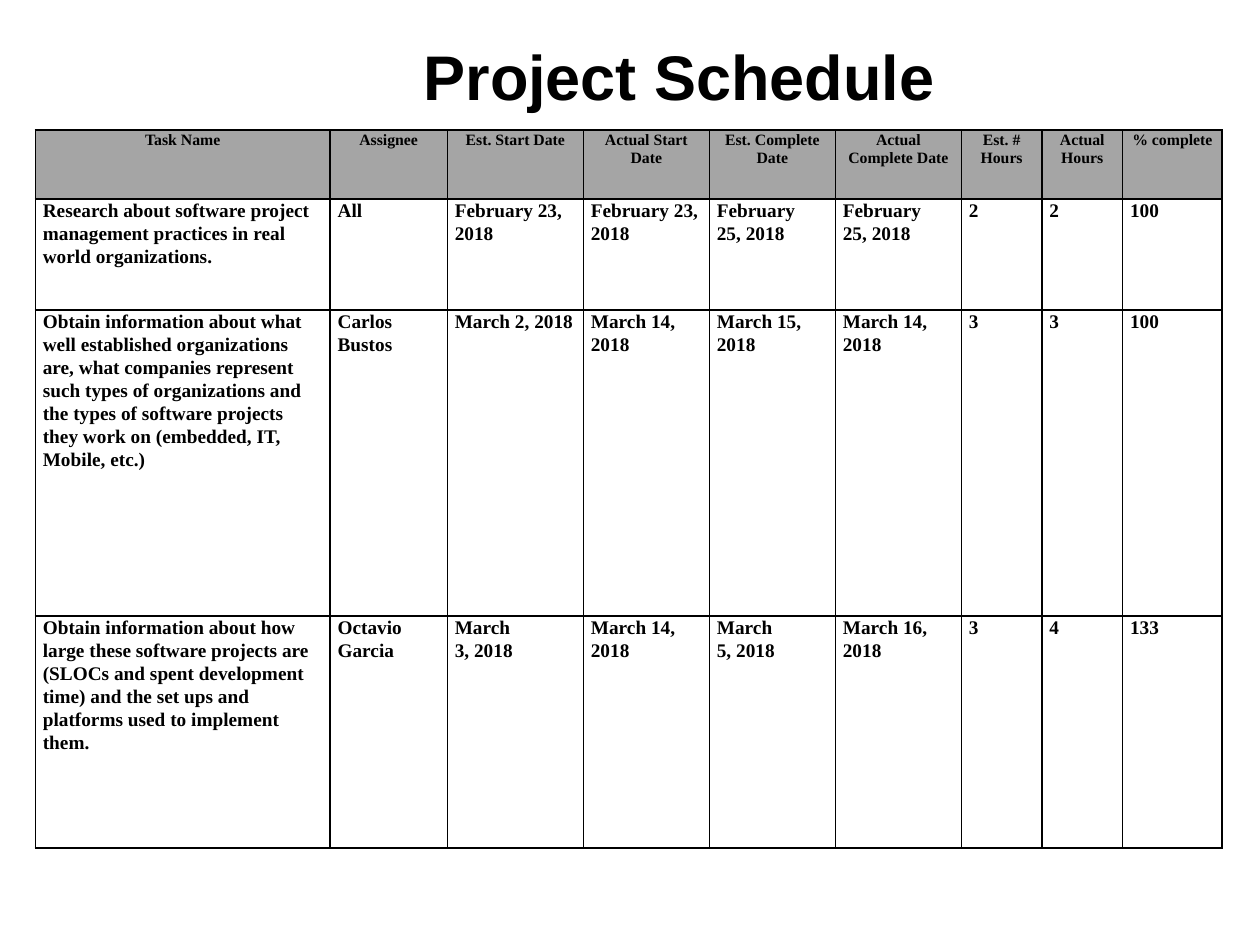
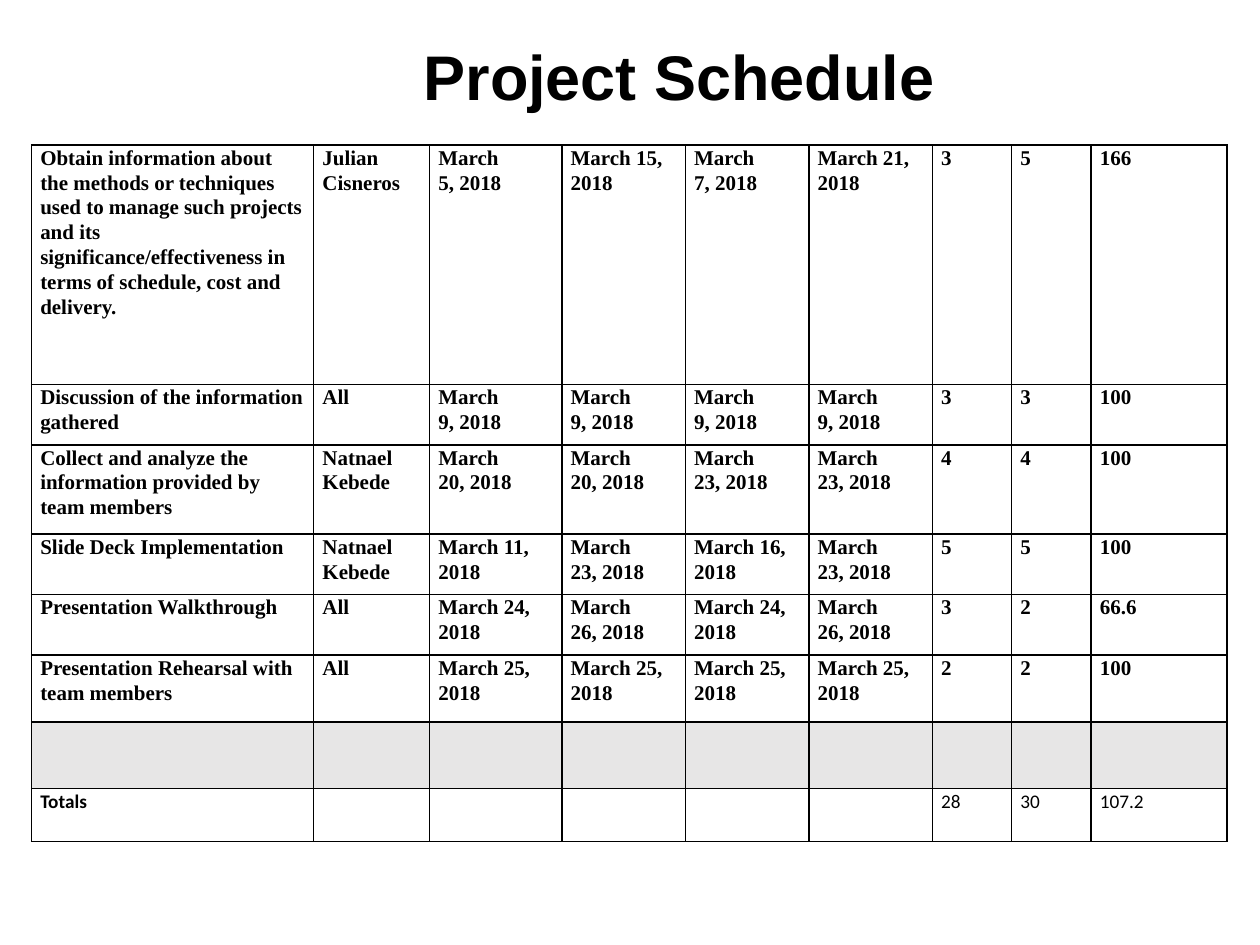
from lxml import etree
from pptx import Presentation
from pptx.dml.color import RGBColor
from pptx.enum.text import MSO_ANCHOR, MSO_AUTO_SIZE, PP_ALIGN
from pptx.oxml.ns import qn
from pptx.util import Inches, Pt

LEFT, CENTER, JUSTIFY = PP_ALIGN.LEFT, PP_ALIGN.CENTER, PP_ALIGN.JUSTIFY
MIDDLE, NO_FIT = MSO_ANCHOR.MIDDLE, MSO_AUTO_SIZE.NONE
TITLE_ONLY = 5
COLORS = {"ink": "000000", "header": "A5A5A5", "spacer": "E7E6E6"}
TITLE_FONT, TABLE_FONT, TOTALS_FONT = "Arial", "Times New Roman", "Calibri"

HEADER = ["Task Name", "Assignee", "Est. Start Date", "Actual Start Date",
          "Est. Complete Date", "Actual Complete Date", "Est. # Hours",
          "Actual Hours", "% complete"]
FIRST_TASKS = [
    ["Research about software project management practices in real world organizations.",
     "All", "February 23, 2018", "February 23, 2018",
     "February\n25, 2018", "February\n25, 2018", "2", "2", "100"],
    ["Obtain information about what well established organizations are, what companies "
     "represent such types of organizations and the types of software projects they work "
     "on (embedded, IT, Mobile, etc.)",
     "Carlos Bustos", "March 2, 2018", "March 14, 2018",
     "March 15, 2018", "March 14, 2018", "3", "3", "100"],
    ["Obtain information about how large these software projects are (SLOCs and spent "
     "development time) and the set ups and platforms used to implement them.",
     "Octavio\nGarcia", "March\n3, 2018", "March 14, 2018",
     "March\n5, 2018", "March 16, 2018", "3", "4", "133"],
]
LATER_TASKS = [
    ["Obtain information about the methods or techniques used to manage such projects "
     "and its significance/effectiveness in terms of schedule, cost and delivery.",
     "Julian Cisneros", "March\n5, 2018", "March 15, 2018",
     "March\n7, 2018", "March 21, 2018", "3", "5", "166"],
    ["Discussion of the information gathered", "All",
     *["March\n9, 2018"] * 4, "3", "3", "100"],
    ["Collect and analyze the information provided by team members", "Natnael\nKebede",
     *["March\n20, 2018"] * 2, *["March\n23, 2018"] * 2, "4", "4", "100"],
    ["Slide Deck Implementation", "Natnael\nKebede", "March 11, 2018", "March\n23, 2018",
     "March 16, 2018", "March\n23, 2018", "5", "5", "100"],
    ["Presentation Walkthrough", "All", "March 24, 2018", "March\n26, 2018",
     "March 24, 2018", "March\n26, 2018", "3", "2", "66.6"],
    ["Presentation Rehearsal with team members", "All",
     *["March 25, 2018"] * 4, "2", "2", "100"],
]
SPACER = [""] * len(HEADER)
TOTALS = ["Totals", *[""] * 5, "28", "30", "107.2"]


class ScheduleDeck:
    """Holds the schedule style and the current slide."""

    def __init__(self):
        self.presentation = Presentation()
        self.presentation.slide_width = Inches(10)
        self.presentation.slide_height = Inches(7.5)
        self.slide = None

    def add_slide(self, title):
        layout = self.presentation.slide_layouts[TITLE_ONLY]
        self.slide = self.presentation.slides.add_slide(layout)
        shape = self.slide.shapes.title
        shape.left, shape.top = Inches(1.8), Inches(0.24)
        shape.width, shape.height = Inches(7.18), Inches(0.71)
        frame = shape.text_frame
        frame.word_wrap, frame.auto_size = True, NO_FIT
        frame.vertical_anchor = MIDDLE
        self.add_text(frame, title, 36, font=TITLE_FONT, align=CENTER)

    def add_text(self, frame, text, size, font=TABLE_FONT, bold=True, align=LEFT, spacing=1.0):
        for index, line in enumerate(text.split("\n")):
            paragraph = frame.add_paragraph() if index else frame.paragraphs[0]
            paragraph.alignment, paragraph.line_spacing = align, spacing
            run = paragraph.add_run()
            run.text = line
            run.font.name, run.font.size, run.font.bold = font, Pt(size), bold
            run.font.color.rgb = RGBColor.from_string(COLORS["ink"])

    def add_table(self, left, top, widths, heights, inset):
        shape = self.slide.shapes.add_table(
            len(heights), len(widths), Inches(left), Inches(top),
            Inches(sum(widths)), Inches(sum(heights)))
        table = shape.table
        table.first_row = table.horz_banding = False
        for column, width in zip(table.columns, widths):
            column.width = Inches(width)
        for row, height in zip(table.rows, heights):
            row.height = Inches(height)
        for cell in table.iter_cells():
            cell.margin_left = cell.margin_right = Inches(inset)
            cell.margin_top = cell.margin_bottom = 0
            self.add_borders(cell)
            cell.fill.background()
        return table

    def add_borders(self, cell):
        properties = cell._tc.get_or_add_tcPr()
        for side in ("a:lnL", "a:lnR", "a:lnT", "a:lnB"):
            line = etree.SubElement(properties, qn(side), w=str(Pt(1)))
            fill = etree.SubElement(line, qn("a:solidFill"))
            etree.SubElement(fill, qn("a:srgbClr"), val=COLORS["ink"])

    def fill_row(self, row, texts, size, color=None, **style):
        for cell, text in zip(row.cells, texts):
            if color:
                cell.fill.solid()
                cell.fill.fore_color.rgb = RGBColor.from_string(COLORS[color])
            if text:
                self.add_text(cell.text_frame, text, size, spacing=1.07, **style)

    def save(self):
        self.presentation.save("out.pptx")


def add_first_schedule(deck):
    """Adds the header and the first tasks."""
    deck.add_slide("Project Schedule")
    table = deck.add_table(
        0.28, 1.03, [2.34, 0.93, 1.08, 1, 1, 1, 0.64, 0.64, 0.79],
        [0.55, 0.88, 2.43, 1.84], inset=0.06)
    header, *task_rows = table.rows
    deck.fill_row(header, HEADER, 9, color="header", align=CENTER)
    for row, task in zip(task_rows, FIRST_TASKS):
        deck.fill_row(row, task, 11)


def add_later_schedule(deck):
    """Adds the remaining tasks and the totals."""
    deck.add_slide("Project Schedule")
    table = deck.add_table(
        0.25, 1.15, [2.24, 0.92, 1.05, 0.98, 0.98, 0.98, 0.63, 0.63, 1.08],
        [1.9, 0.48, 0.71, 0.48, 0.48, 0.53, 0.53, 0.42], inset=0.07)
    *task_rows, spacer, totals = table.rows
    for row, task in zip(task_rows, LATER_TASKS):
        deck.fill_row(row, task, 12)
    deck.fill_row(spacer, SPACER, 12, color="spacer")
    style = {"font": TOTALS_FONT, "align": JUSTIFY}
    deck.fill_row(totals, TOTALS[:1], 11, **style)
    deck.fill_row(totals, [""] + TOTALS[1:], 11, bold=False, **style)


def main():
    """Builds and saves the schedule."""
    deck = ScheduleDeck()
    add_first_schedule(deck)
    add_later_schedule(deck)
    deck.save()


if __name__ == "__main__":
    main()
